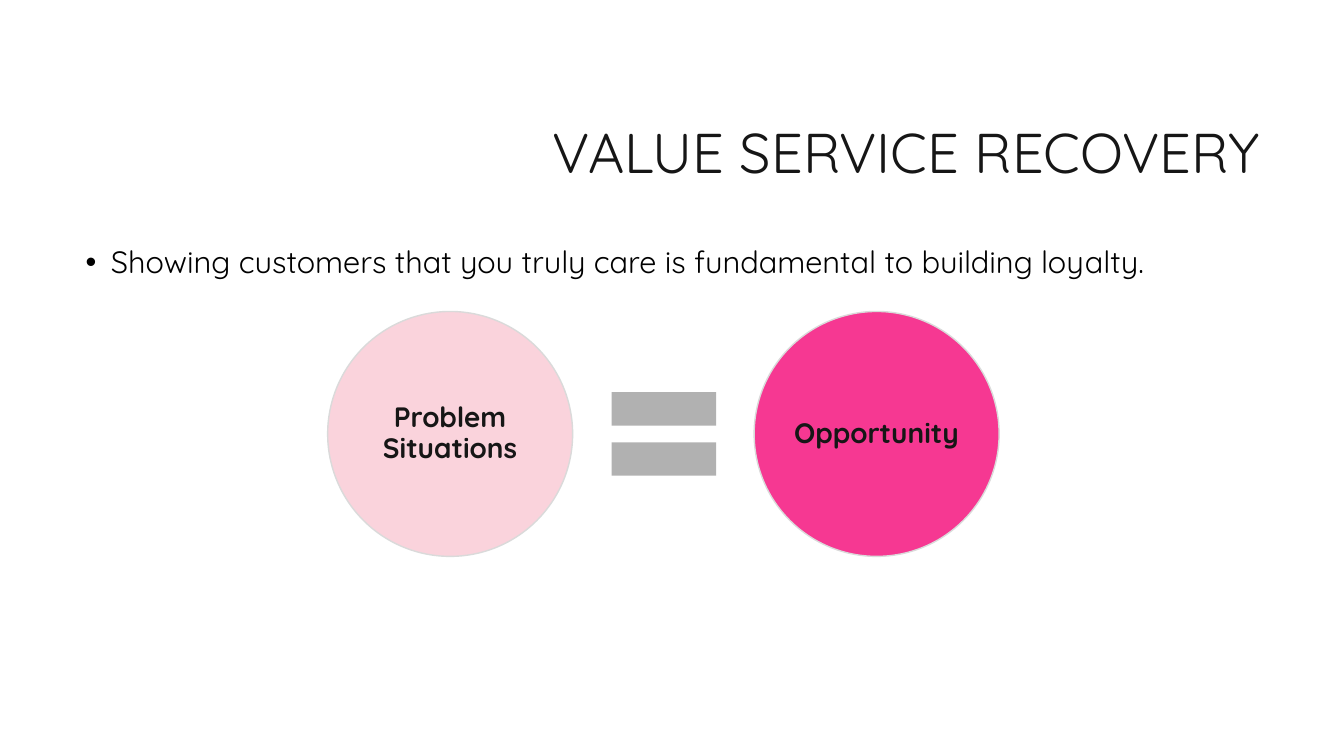
from lxml import etree
from pptx import Presentation
from pptx import util as u
from pptx.dml.color import RGBColor
from pptx.enum import shapes, text
from pptx.oxml.ns import qn


def colour(code):
    return RGBColor.from_string(code)


def write(frame, words, size, ink="161616", bold=False, align=text.PP_ALIGN.LEFT,
          anchor=text.MSO_ANCHOR.MIDDLE, before=0, bullet=None):
    frame.word_wrap = True
    frame.auto_size = text.MSO_AUTO_SIZE.NONE
    frame.vertical_anchor = anchor
    para = frame.paragraphs[0]
    para.alignment = align
    para.line_spacing = 0.9
    para.space_before = u.Pt(before)
    if bullet:
        settings = para._p.get_or_add_pPr()
        settings.set("marL", str(u.Inches(0.25)))
        settings.set("indent", str(u.Inches(-0.25)))
        etree.SubElement(settings, qn("a:buChar")).set("char", bullet)
    span = para.add_run()
    span.text = words
    span.font.name = "Quicksand"
    span.font.size = u.Pt(size)
    span.font.bold = bold
    span.font.color.rgb = colour(ink)


class RecoverySlide:
    """Holds the style and the current slide, and adds its elements."""

    outline = "DADADA"
    inset = u.Inches(0.03)

    def __init__(self, deck):
        self.page = deck.slides.add_slide(deck.slide_layouts[1])

    def placeholder(self, index, place, words, **style):
        box = self.page.placeholders[index]
        box.left, box.top, box.width, box.height = map(u.Inches, place)
        write(box.text_frame, words, **style)

    def shape(self, kind, left, top, size, fill):
        shape = self.page.shapes.add_shape(
            kind, *map(u.Inches, (left, top, size, size)))
        shape.shadow.inherit = False
        shape.fill.solid()
        shape.fill.fore_color.rgb = colour(fill)
        shape.line.fill.background()
        return shape

    def circle(self, left, fill, words):
        circle = self.shape(shapes.MSO_SHAPE.OVAL, left, 3.09, 2.43, fill)
        circle.line.color.rgb = colour(self.outline)
        circle.line.width = u.Pt(1)
        frame = circle.text_frame
        frame.margin_left = frame.margin_right = self.inset
        frame.margin_top = frame.margin_bottom = self.inset
        write(frame, words, size=20, bold=True, align=text.PP_ALIGN.CENTER)

    def equals(self, left, top, size):
        self.shape(shapes.MSO_SHAPE.MATH_EQUAL, left, top, size, "B1B1B1")


def main():
    deck = Presentation()
    deck.slide_width, deck.slide_height = u.Inches(13.33), u.Inches(7.5)
    slide = RecoverySlide(deck)
    slide.placeholder(0, (3.17, 0.84, 9.42, 1.41), "VALUE SERVICE RECOVERY",
                      size=40, align=text.PP_ALIGN.RIGHT)
    slide.placeholder(
        1, (0.75, 2.4, 11.83, 4.4),
        "Showing customers that you truly care is fundamental to building loyalty.",
        size=22, ink="000000", anchor=text.MSO_ANCHOR.TOP, bullet="•")
    slide.circle(3.25, "FAD3DC", "Problem Situations")
    slide.equals(5.88, 3.6, 1.41)
    slide.circle(7.48, "F63892", "Opportunity")
    deck.save("out.pptx")


if __name__ == "__main__":
    main()
